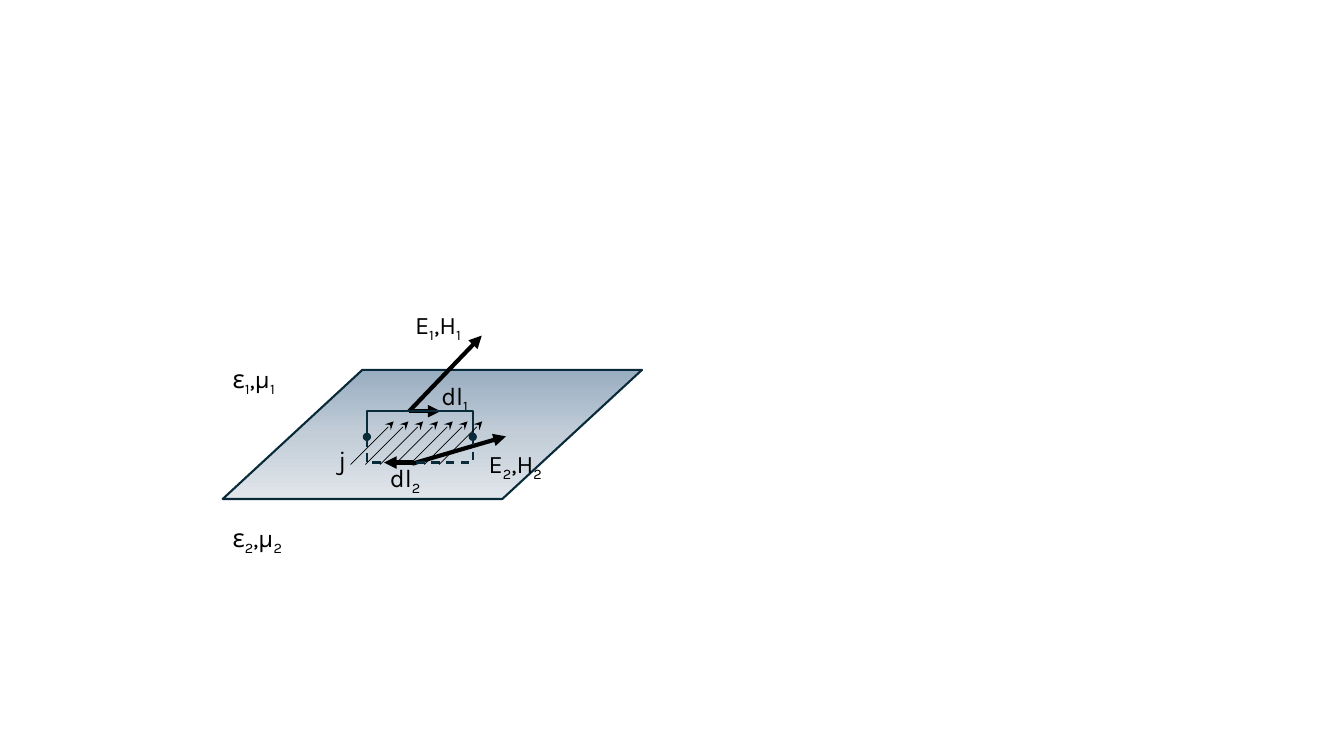
import copy
import dataclasses
import itertools

import pptx
import pptx.dml.color
import pptx.enum.dml
import pptx.enum.shapes
import pptx.oxml
import pptx.oxml.ns
import pptx.util

Pt = pptx.util.Pt


@dataclasses.dataclass(frozen=True)
class Theme:
    font: str = "Karla"
    size: float = 18
    ink: str = "000000"
    outline: str = "092A39"
    surface: tuple = ((0, "98ADC1"), (0.5, "C2CDD7"), (1, "E1E6EB"))
    outline_width: float = 1.5
    vector_width: float = 3
    current_width: float = 0.5


THEME = Theme()


def rgb(code):
    return pptx.dml.color.RGBColor.from_string(code)


def style_line(shape, color, width, head=None, tail=None):
    shape.line.color.rgb = rgb(color)
    shape.line.width = Pt(width)
    for tag, kind in (("a:headEnd", head), ("a:tailEnd", tail)):
        if kind:
            end = pptx.oxml.ns.qn(tag)
            shape.line._get_or_add_ln().makeelement(end)
            mark = pptx.oxml.parse_xml(
                f'<{tag} {pptx.oxml.ns.nsdecls("a")} type="{kind}"/>')
            shape.line._get_or_add_ln().append(mark)


def add_label(page, text, left, top, width, height=29,
              font=THEME.font, size=THEME.size, color=THEME.ink):
    """Write text in which every digit is a subscript."""
    box = page.shapes.add_textbox(Pt(left), Pt(top), Pt(width), Pt(height))
    box.text_frame.word_wrap = True
    para = box.text_frame.paragraphs[0]
    for is_index, letters in itertools.groupby(text, str.isdigit):
        span = para.add_run()
        span.text = "".join(letters)
        span.font.name = font
        span.font.size = Pt(size)
        span.font.color.rgb = rgb(color)
        if is_index:
            span.font._element.set("baseline", "-25000")


def add_arrow(page, start, end, width, tail):
    arrow = page.shapes.add_connector(
        pptx.enum.shapes.MSO_CONNECTOR.STRAIGHT,
        *(Pt(value) for value in (*start, *end)))
    style_line(arrow, THEME.ink, width, tail=tail)
    arrow._element.spPr.append(pptx.oxml.parse_xml(
        f'<a:effectLst {pptx.oxml.ns.nsdecls("a")}/>'))


def add_outline(page, points, dash=None, end=None):
    places = [(Pt(x), Pt(y)) for x, y in points]
    builder = page.shapes.build_freeform(*places[0])
    builder.add_line_segments(places[1:], close=False)
    outline = builder.convert_to_shape()
    outline.shadow.inherit = False
    outline.fill.background()
    if dash:
        outline.line.dash_style = dash
    style_line(outline, THEME.outline, THEME.outline_width, head=end, tail=end)


def draw_surface(page, left, top, width, height):
    """Boundary between the two media, with their constants."""
    surface = page.shapes.add_shape(
        pptx.enum.shapes.MSO_SHAPE.PARALLELOGRAM,
        Pt(left), Pt(top), Pt(width), Pt(height))
    surface.adjustments[0] = 1.082
    surface.shadow.inherit = False
    surface.fill.gradient()
    surface.fill.gradient_angle = 270
    stops = surface._element.xpath(".//a:gsLst")[0]
    stops.insert(1, copy.deepcopy(stops[0]))
    for stop, (position, color) in zip(surface.fill.gradient_stops, THEME.surface):
        stop.position = position
        stop.color.rgb = rgb(color)
    style_line(surface, THEME.outline, THEME.outline_width)
    add_label(page, "ε1,μ1", left, top - 8.6, 79)
    add_label(page, "ε2,μ2", left, top + 105.1, 79)


def draw_fields(page, left, top):
    """Field vectors and the upper path element, from the loop's corner."""
    origin = (left + 30.2, top)
    add_arrow(page, origin, (left + 82, top - 54), THEME.vector_width, "triangle")
    add_arrow(page, (left + 32.4, top + 37.5), (left + 99.3, top + 18),
              THEME.vector_width, "triangle")
    add_label(page, "E1,H1", left + 27.3, top - 76.3, 61)
    add_label(page, "E2,H2", left + 79.9, top + 23.1, 61)
    add_arrow(page, origin, (left + 52.5, top), THEME.vector_width, "triangle")
    add_label(page, "dl1", left + 46, top - 25.9, 48)


def draw_loop(page, left, top, width, height):
    """Integration loop: solid above the surface, dashed below it."""
    right, bottom, middle = left + width, top + height, top + height / 2
    add_outline(page, [(left, middle), (left, top), (right, top), (right, middle)],
                end="oval")
    add_outline(page, [(right, middle), (right, bottom), (left, bottom), (left, middle)],
                dash=pptx.enum.dml.MSO_LINE.DASH)


def draw_current(page, left, top, count=7, pitch=10.55, reach=30.8):
    """Surface current as evenly spaced slanted arrows."""
    add_label(page, "j", left - 15.8, top + 12.8, 39)
    for index in range(count):
        start = left + index * pitch
        add_arrow(page, (start, top + reach), (start + reach, top),
                  THEME.current_width, "stealth")


def draw_lower_element(page, left, top):
    """Lower path element, pointing left."""
    add_arrow(page, (left + 33.1, top), (left + 12.2, top),
              THEME.vector_width, "triangle")
    add_label(page, "dl2", left + 9.3, top - 3.6, 48)


def main():
    deck = pptx.Presentation()
    deck.slide_width, deck.slide_height = Pt(960), Pt(540)
    page = deck.slides.add_slide(deck.slide_layouts[6])

    left, top, width, height = 262.1, 293.7, 75.6, 36.7
    draw_surface(page, 159.1, 264.2, 299.5, 92.2)
    draw_fields(page, left, top)
    draw_loop(page, left, top, width, height)
    draw_current(page, left - 11.7, top + 7.3)
    draw_lower_element(page, left, top + height)
    deck.save("out.pptx")


if __name__ == "__main__":
    main()
